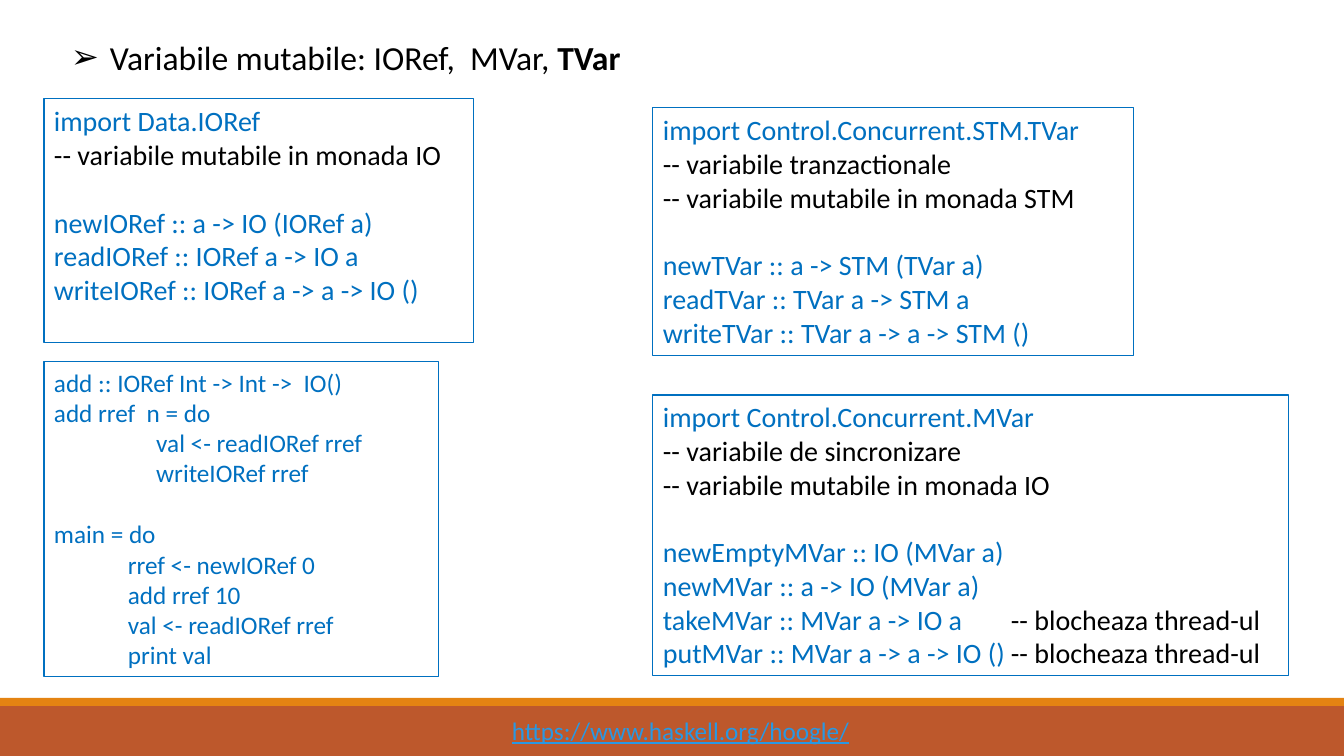
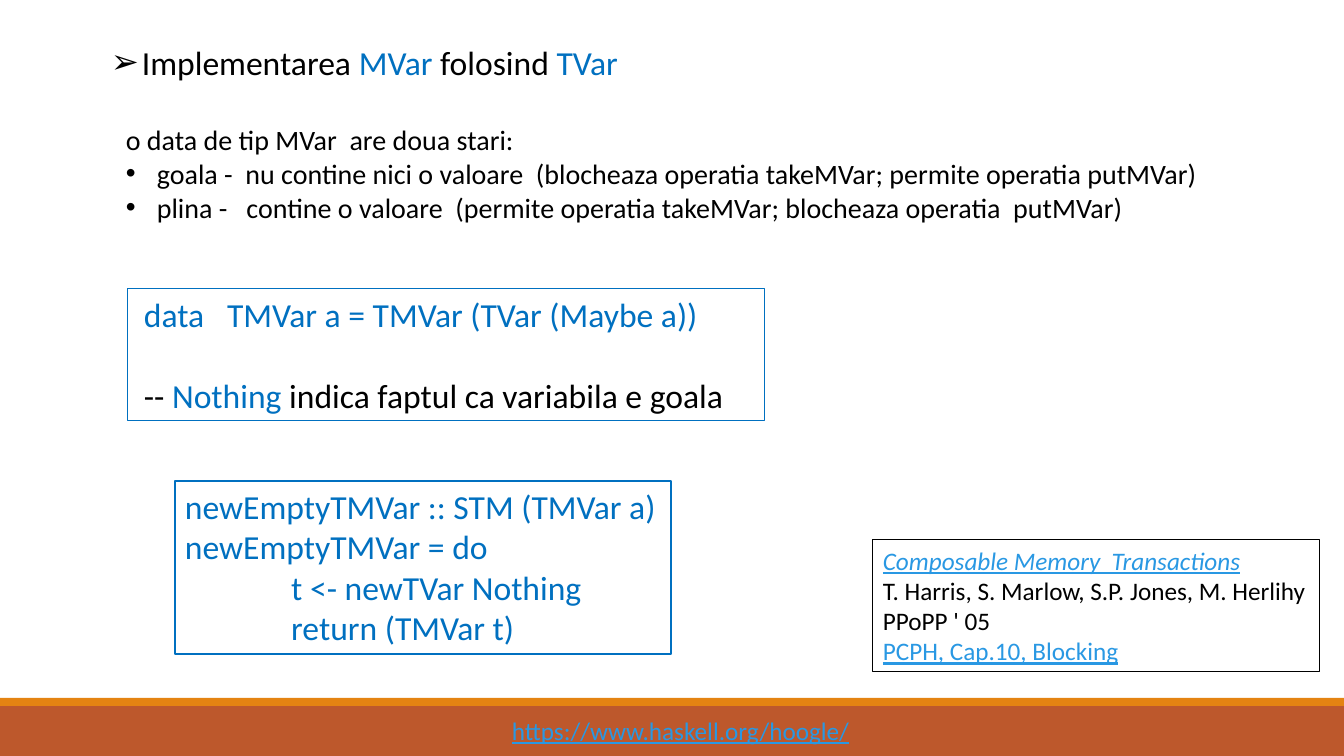
from lxml.etree import SubElement
from pptx import Presentation
from pptx.dml.color import RGBColor
from pptx.enum.shapes import MSO_SHAPE
from pptx.oxml.ns import qn
from pptx.util import Pt

SCALE = 914400 / 100.8
WIDE, HIGH = 1344, 756
FACE = "Calibri"
HUES = {
    "text": "000000",
    "code": "0070C0",
    "link": "2998E3",
    "page": "FFFFFF",
    "band": "BD582C",
    "edge": "E48312",
}
BANDS = [("band", 706, 50), ("edge", 698, 8)]


def px(size):
    return round(size * SCALE)


def put(slide, area, lines, size=20, ink="text", rim=None, rule=0.75,
        fill=None, gaps=(), marks=None, hang=31, inset=0, tab=None):
    box = slide.shapes.add_textbox(*map(px, area))
    if rim:
        box.line.color.rgb = RGBColor.from_string(HUES[rim])
        box.line.width = Pt(rule)
    if fill:
        box.fill.solid()
        box.fill.fore_color.rgb = RGBColor.from_string(HUES[fill])
    frame = box.text_frame
    frame.word_wrap = True
    for row, line in enumerate(lines):
        para = frame.paragraphs[0] if row == 0 else frame.add_paragraph()
        if row in gaps:
            para.space_before = Pt(round(size * 1.22, 1))
        props = para._p.get_or_add_pPr()
        mark = (marks or {}).get(row)
        if mark:
            props.set("marL", str(px(hang)))
            props.set("indent", str(-px(hang)))
            SubElement(props, qn("a:buFont"), typeface="Arial")
            SubElement(props, qn("a:buChar"), char=mark)
        elif inset:
            props.set("marL", str(px(inset)))
        if tab:
            stops = SubElement(props, qn("a:tabLst"))
            SubElement(stops, qn("a:tab"), pos=str(px(tab)), algn="l")
        for part in [(line, ink)] if isinstance(line, str) else line:
            words, hue, *style = part
            run = para.add_run()
            run.text = words
            font = run.font
            font.name, font.size = FACE, Pt(size)
            font.color.rgb = RGBColor.from_string(HUES[hue])
            font.bold = "bold" in style
            font.italic = "slant" in style
            font.underline = "under" in style


deck = Presentation()
deck.slide_width, deck.slide_height = px(WIDE), px(HIGH)
slides = [deck.slides.add_slide(deck.slide_layouts[6]) for _ in range(2)]
for slide in slides:
    for hue, top, high in BANDS:
        band = slide.shapes.add_shape(
            MSO_SHAPE.RECTANGLE, 0, px(top), px(WIDE), px(high))
        band.shadow.inherit = False
        band.fill.solid()
        band.fill.fore_color.rgb = RGBColor.from_string(HUES[hue])
        band.line.fill.background()
    put(slide, (502, 710, 362, 40),
        [[("https://www.haskell.org/hoogle/", "link", "under")]], size=18)

types, build = slides

put(types, (61, 32, 590, 50),
    [[("Variabile mutabile: IORef,  MVar, ", "text"), ("TVar", "text", "bold")]],
    size=24, marks={0: "➢"}, hang=39)

wait = ("-- blocheaza thread-ul", "text")
cards = [
    ((44, 99, 430, 244), 20, [2], [
        "import Data.IORef",
        [("-- variabile mutabile in monada IO", "text")],
        "newIORef :: a -> IO (IORef a)",
        "readIORef :: IORef a -> IO a",
        "writeIORef :: IORef a -> a -> IO ()",
    ]),
    ((44, 362, 395, 315), 18, [4], [
        "add :: IORef Int -> Int ->  IO()",
        "add rref  n = do",
        "                  val <- readIORef rref",
        "                  writeIORef rref",
        "main = do",
        "             rref <- newIORef 0",
        "             add rref 10",
        "             val <- readIORef rref",
        "             print val",
    ]),
    ((653, 108, 481, 248), 20, [3], [
        "import Control.Concurrent.STM.TVar",
        [("-- variabile tranzactionale", "text")],
        [("-- variabile mutabile in monada STM", "text")],
        "newTVar :: a -> STM (TVar a)",
        "readTVar :: TVar a -> STM a",
        "writeTVar :: TVar a -> a -> STM ()",
    ]),
    ((653, 395, 636, 281), 20, [3], [
        "import Control.Concurrent.MVar",
        [("-- variabile de sincronizare", "text")],
        [("-- variabile mutabile in monada IO", "text")],
        "newEmptyMVar :: IO (MVar a)",
        "newMVar :: a -> IO (MVar a)",
        [("takeMVar :: MVar a -> IO a\t", "code"), wait],
        [("putMVar :: MVar a -> a -> IO ()\t", "code"), wait],
    ]),
]
for area, size, gaps, lines in cards:
    put(types, area, lines, size=size, ink="code", rim="code", gaps=gaps, tab=348)

put(build, (873, 540, 447, 132), [
    [("Composable Memory  Transactions", "link", "slant", "under")],
    "T. Harris, S. Marlow, S.P. Jones, M. Herlihy",
    "PPoPP ' 05",
    [("PCPH, Cap.10, Blocking", "link", "under")],
], size=18, rim="text")

put(build, (101, 37, 550, 50), [[
    ("Implementarea ", "text"), ("MVar ", "code"),
    ("folosind ", "text"), ("TVar", "code"),
]], size=24, marks={0: "➢"})

put(build, (116, 118, 1110, 112), [
    "o data de tip MVar  are doua stari:",
    "goala -  nu contine nici o valoare  (blocheaza operatia takeMVar; permite operatia putMVar)",
    "plina -   contine o valoare  (permite operatia takeMVar; blocheaza operatia  putMVar)",
], marks={1: "•", 2: "•"})

put(build, (128, 289, 637, 132), [
    "data   TMVar a = TMVar (TVar (Maybe a))",
    [("-- ", "text"), ("Nothing ", "code"),
     ("indica faptul ca variabila e goala", "text")],
], size=24, ink="code", rim="code", gaps=[1], inset=6)

put(build, (175, 481, 496, 173), [
    "newEmptyTMVar :: STM (TMVar a)",
    "newEmptyTMVar = do",
    "              t <- newTVar Nothing",
    "              return (TMVar t)",
], size=24, ink="code", rim="code", rule=1.25, fill="page")

deck.save("out.pptx")
